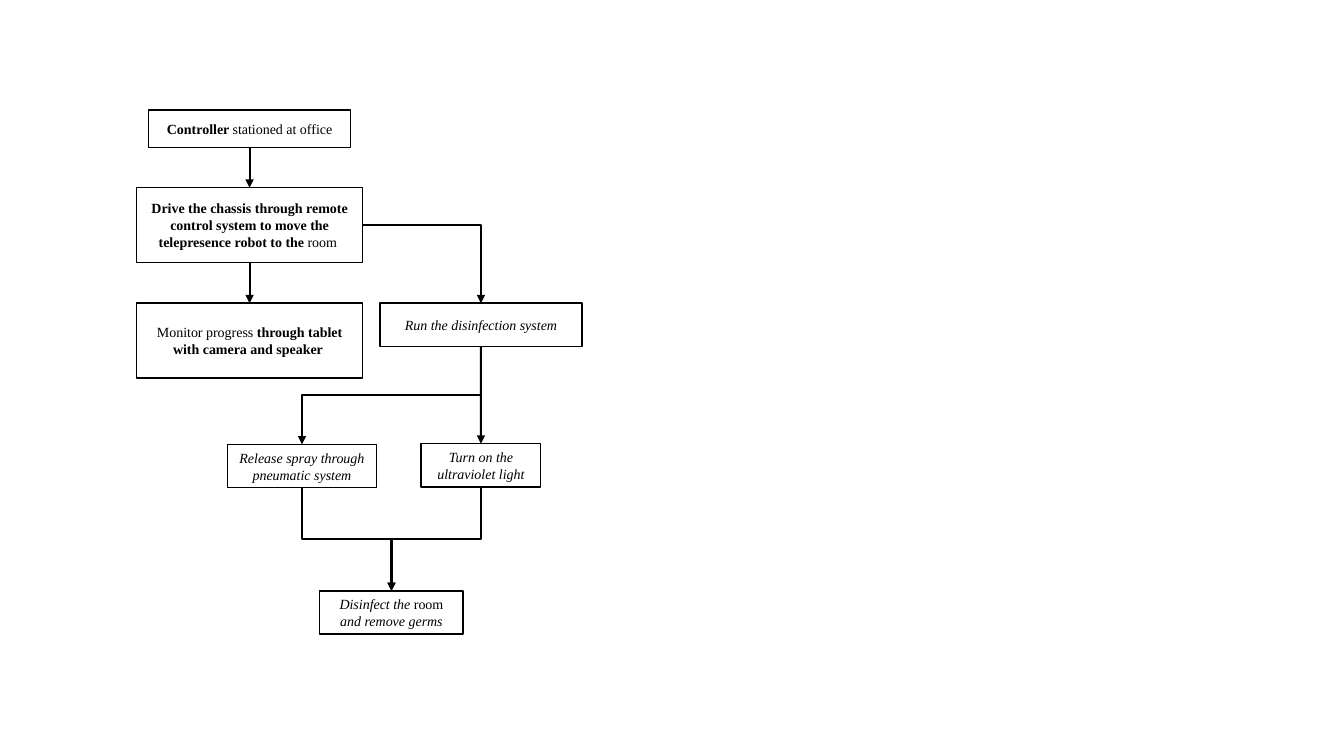
from lxml.etree import SubElement
from pptx import Presentation
from pptx.dml.color import RGBColor
from pptx.enum.shapes import MSO_CONNECTOR, MSO_SHAPE
from pptx.enum.text import MSO_ANCHOR, PP_ALIGN
from pptx.oxml.ns import qn
from pptx.util import Cm, Pt

BLACK = RGBColor(0, 0, 0)
WHITE = RGBColor(255, 255, 255)
FONT = "Times New Roman"
TOP, BOTTOM, RIGHT = 0, 2, 3

# Column centres in centimetres
MAIN, SPRAY, LIGHT = 6.29, 7.61, 12.12
MERGE = (SPRAY + LIGHT) / 2
WIDE, MEDIUM = 5.69, 5.09
TALL, SHORT = 1.89, 1.09


def add_span(para, text, bold=False, italic=False):
    span = para.add_run()
    span.text = text
    font = span.font
    font.name, font.size = FONT, Pt(10)
    font.bold, font.italic = bold, italic
    font.color.rgb = BLACK


def add_step(page, center, top, width, height, *spans):
    """Add a box centred on a column; each span is a text and its format."""
    box = page.shapes.add_shape(MSO_SHAPE.RECTANGLE, Cm(center - width / 2),
                                Cm(top), Cm(width), Cm(height))
    box.shadow.inherit = False
    box.fill.solid()
    box.fill.fore_color.rgb = WHITE
    box.line.color.rgb = BLACK
    box.line.width = Pt(1)
    frame = box.text_frame
    frame.word_wrap = True
    frame.vertical_anchor = MSO_ANCHOR.MIDDLE
    para = frame.paragraphs[0]
    para.alignment = PP_ALIGN.CENTER
    for text, style in spans:
        add_span(para, text, **style)
    return box


def add_arrow(page, source, target, kind=MSO_CONNECTOR.STRAIGHT, side=BOTTOM):
    """Join one side of the source to the top of the target."""
    arrow = page.shapes.add_connector(kind, 0, 0, 0, 0)
    arrow.begin_connect(source, side)
    arrow.end_connect(target, TOP)
    arrow.line.color.rgb = BLACK
    arrow.line.width = Pt(1.5)
    SubElement(arrow.line._get_or_add_ln(), qn("a:tailEnd"), type="triangle")
    SubElement(arrow._element.spPr, qn("a:effectLst"))
    return arrow


def add_corner_arrow(page, source, target):
    """Go right from the source, then down to the target."""
    arrow = add_arrow(page, source, target, MSO_CONNECTOR.ELBOW, RIGHT)
    arrow._element.spPr.find(qn("a:prstGeom")).set("prst", "bentConnector2")


def add_step_arrow(page, source, target):
    """Go down, across and down again: a turned elbow connector."""
    arrow = add_arrow(page, source, target, MSO_CONNECTOR.ELBOW)
    goes_right = arrow.end_x > arrow.begin_x
    across, down = arrow.width, arrow.height
    middle_x = arrow.left + across // 2
    middle_y = arrow.top + down // 2
    arrow.left, arrow.top = middle_x - down // 2, middle_y - across // 2
    arrow.width, arrow.height = down, across
    frame = arrow._element.spPr.find(qn("a:xfrm"))
    frame.set("rot", str((270 if goes_right else 90) * 60000))
    frame.set("flipH", "1" if goes_right else "0")


def main():
    deck = Presentation()
    deck.slide_width, deck.slide_height = Cm(33.87), Cm(19.05)
    page = deck.slides.add_slide(deck.slide_layouts[6])
    plain, bold, italic = {}, {"bold": True}, {"italic": True}

    controller = add_step(page, MAIN, 2.77, MEDIUM, 0.95,
                          ("Controller ", bold), ("stationed at office", plain))
    drive = add_step(page, MAIN, 4.73, WIDE, TALL,
                     ("Drive the chassis through remote control system to move "
                      "the telepresence robot to the ", bold), ("room ", plain))
    monitor = add_step(page, MAIN, 7.64, WIDE, TALL,
                       ("Monitor progress ", plain),
                       ("through tablet with camera and speaker ", bold))
    disinfection = add_step(page, LIGHT, 7.64, MEDIUM, SHORT,
                            ("Run the disinfection system", italic))
    spray = add_step(page, SPRAY, 11.2, 3.75, SHORT,
                     ("Release spray through pneumatic system", italic))
    light = add_step(page, LIGHT, 11.18, 3.02, SHORT,
                     ("Turn on the ultraviolet light", italic))
    result = add_step(page, MERGE, 14.89, 3.61, SHORT, ("Disinfect the ", italic),
                      ("room", plain), (" and remove germs", italic))

    for source, target in ((controller, drive), (drive, monitor),
                           (disinfection, light)):
        add_arrow(page, source, target)
    add_corner_arrow(page, drive, disinfection)
    for source, target in ((disinfection, spray), (spray, result), (light, result)):
        add_step_arrow(page, source, target)
    deck.save("out.pptx")


if __name__ == "__main__":
    main()
